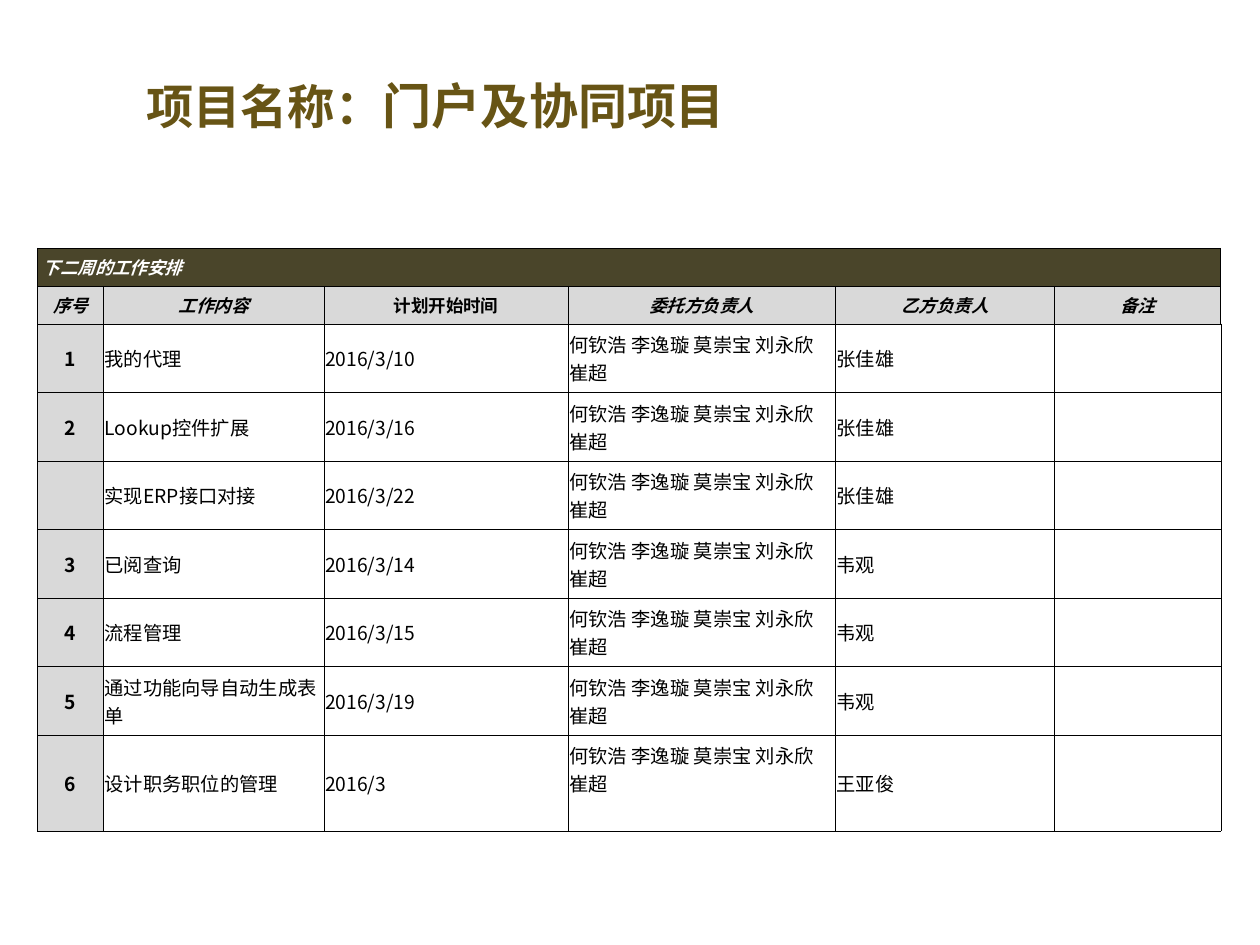
from pptx import Presentation
from pptx.dml.color import RGBColor
from pptx.enum.text import MSO_ANCHOR as ANCHOR, PP_ALIGN as ALIGN
from pptx.oxml.ns import qn
from pptx.util import Inches, Pt
from lxml.etree import SubElement

COLORS = {"title": "675415", "band": "4A452A", "head": "D9D9D9",
          "white": "FFFFFF", "black": "000000"}
FONT = "Noto Sans CJK SC"
TEAM = "何钦浩 李逸璇 莫崇宝 刘永欣 崔超"
COLS = [0.52, 1.75, 1.94, 2.12, 1.74, 1.32]
ROWS = [0.2, 0.2] + [0.45] * 6 + [0.68]
HEADERS = ["序号", "工作内容", "计划开始时间", "委托方负责人", "乙方负责人", "备注"]
TASKS = [
    ("1", "我的代理", "2016/3/10", "张佳雄"),
    ("2", "Lookup控件扩展", "2016/3/16", "张佳雄"),
    ("", "实现ERP接口对接", "2016/3/22", "张佳雄"),
    ("3", "已阅查询", "2016/3/14", "韦观"),
    ("4", "流程管理", "2016/3/15", "韦观"),
    ("5", "通过功能向导自动生成表单", "2016/3/19", "韦观"),
    ("6", "设计职务职位的管理", "2016/3", "王亚俊"),
]


class SlideBuilder:
    def __init__(self, prs):
        self.s = prs.slides.add_slide(prs.slide_layouts[5])

    def style(self, r, size, color, bold=False, italic=False):
        r.font.size, r.font.bold, r.font.italic = Pt(size), bold, italic
        r.font.name = FONT
        r.font.color.rgb = RGBColor.from_string(COLORS[color])
        SubElement(r.font._element, qn("a:ea"), typeface=FONT)

    def title(self, parts, left, top, width, height):
        sp = self.s.shapes.title
        sp.left, sp.top = Inches(left), Inches(top)
        sp.width, sp.height = Inches(width), Inches(height)
        tf = sp.text_frame
        tf.vertical_anchor = ANCHOR.MIDDLE
        p = tf.paragraphs[0]
        p.alignment = ALIGN.LEFT
        pPr = p._p.get_or_add_pPr()
        pPr.set("marL", str(Inches(0.75)))
        pPr.set("indent", str(Inches(-0.75)))
        for text, size in parts:
            r = p.add_run()
            r.text = text
            self.style(r, size, "title", bold=True)

    def table(self, left, top):
        frame = self.s.shapes.add_table(len(ROWS), len(COLS), Inches(left), Inches(top),
                                        Inches(sum(COLS)), Inches(sum(ROWS)))
        table = frame.table
        table.first_row = table.horz_banding = False
        for col, width in zip(table.columns, COLS):
            col.width = Inches(width)
        for row, height in zip(table.rows, ROWS):
            row.height = Inches(height)
        return table

    def borders(self, cell, **widths):
        tcPr = cell._tc.get_or_add_tcPr()
        for side in "LRTB":
            ln = SubElement(tcPr, qn(f"a:ln{side}"), w=str(Pt(widths.get(side, 0.23))))
            fill = SubElement(ln, qn("a:solidFill"))
            SubElement(fill, qn("a:srgbClr"), val=COLORS["black"])

    def cell(self, cell, text, fill=None, size=11, color="black", bold=False,
             italic=False, align=ALIGN.LEFT, margins=(0.1, 0.05, 0.1, 0.05), outer=""):
        self.borders(cell, **{side: 0.45 for side in outer})
        if fill:
            cell.fill.solid()
            cell.fill.fore_color.rgb = RGBColor.from_string(COLORS[fill])
        else:
            cell.fill.background()
        cell.vertical_anchor = ANCHOR.MIDDLE
        (cell.margin_left, cell.margin_top,
         cell.margin_right, cell.margin_bottom) = map(Inches, margins)
        cell.text = text
        p = cell.text_frame.paragraphs[0]
        p.alignment = align
        for r in p.runs:
            self.style(r, size, color, bold, italic)


def main():
    prs = Presentation()
    prs.slide_width, prs.slide_height = Inches(10), Inches(7.5)
    b = SlideBuilder(prs)
    b.title([("项目名称：", 27), ("门户及协同项目", 28)], 1.06, 0.44, 8.43, 0.79)

    table = b.table(0.3, 1.97)
    last_col = len(COLS) - 1
    table.cell(0, 0).merge(table.cell(0, last_col))
    b.cell(table.cell(0, 0), "下二周的工作安排", "band", 10, "white", True, True,
           margins=(0.04, 0.05, 0.1, 0.05), outer="LTR")
    for c in range(1, len(COLS)):
        b.borders(table.cell(0, c), T=0.45, R=0.45)

    sides = {0: "L", last_col: "R"}
    for c, text in enumerate(HEADERS):
        b.cell(table.cell(1, c), text, "head", 10, bold=True,
               italic=text != "计划开始时间", align=ALIGN.CENTER, outer=sides.get(c, ""))

    for i, (number, task, start, owner) in enumerate(TASKS, 2):
        b.cell(table.cell(i, 0), number, "head", bold=True, align=ALIGN.CENTER, outer="L")
        for c, text in enumerate([task, start, TEAM, owner, ""], 1):
            raised = text == TEAM and i == len(ROWS) - 1
            b.cell(table.cell(i, c), text,
                   margins=(0.01, 0.05, 0.01, 0.27 if raised else 0.05))

    prs.save("out.pptx")


if __name__ == "__main__":
    main()
